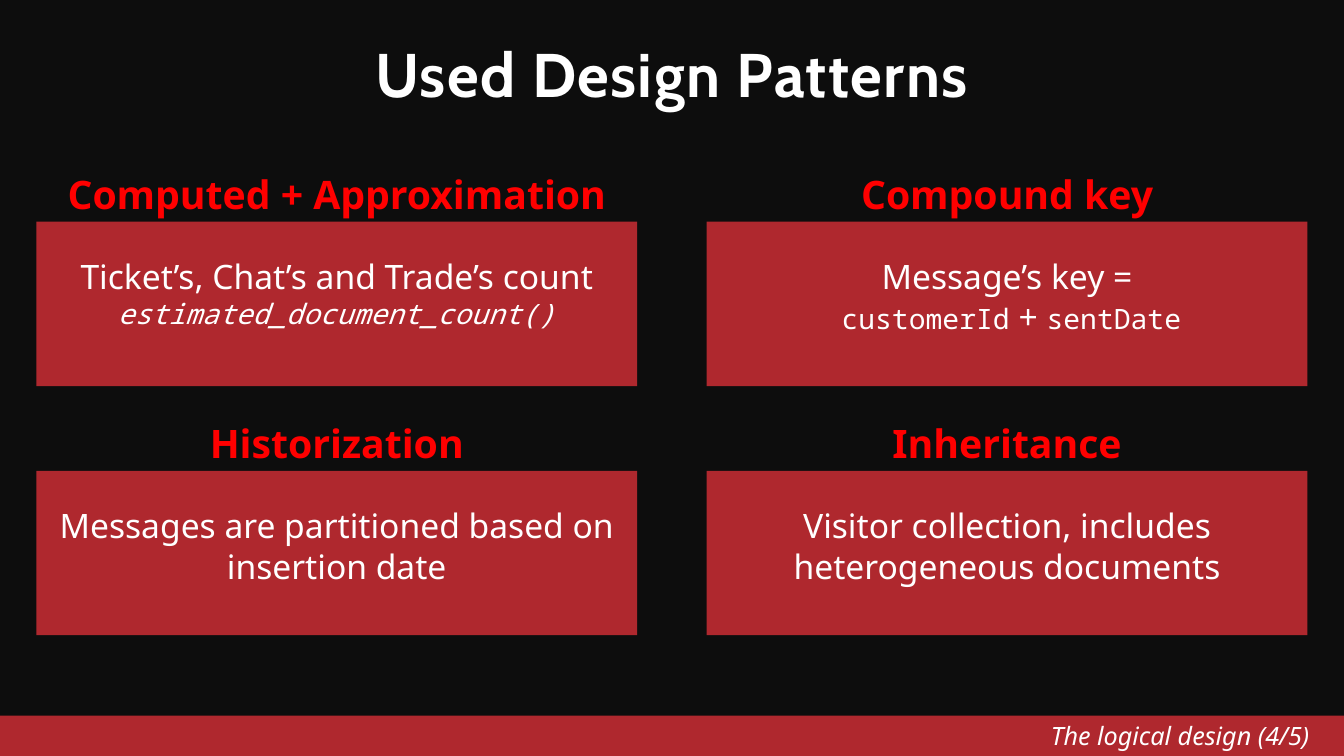
from pptx import Presentation
from pptx.dml.color import RGBColor
from pptx.enum.shapes import MSO_SHAPE
from pptx.enum.text import MSO_ANCHOR, PP_ALIGN
from pptx.util import Pt

RECTANGLE = MSO_SHAPE.RECTANGLE
TOP = MSO_ANCHOR.TOP
CENTER, RIGHT = PP_ALIGN.CENTER, PP_ALIGN.RIGHT

BLACK = RGBColor(0x0D, 0x0D, 0x0D)
CRIMSON = RGBColor(0xAF, 0x28, 0x2E)
RED = RGBColor(0xFF, 0x00, 0x00)
WHITE = RGBColor(0xFF, 0xFF, 0xFF)

TITLE_FONT, TEXT_FONT, CODE_FONT = "Cabin", "Noto Sans", "Noto Sans Mono"

SLIDE_WIDTH, SLIDE_HEIGHT = 960, 540
FOOTER_TOP, FOOTER_HEIGHT = 511.2, 28.8
GRID_LEFT, GRID_TOP = 25.9, 158.4
COLUMN_STEP, ROW_STEP = 478.8, 178
CARD_WIDTH, CARD_HEIGHT = 429.2, 117.4

# Each run is (text, is_code, is_italic)
PATTERNS = [
    ("Computed + Approximation",
     [[("Ticket’s, Chat’s and Trade’s count", False, False)],
      [("estimated_document_count()", True, True)]]),
    ("Compound key",
     [[("Message’s key =", False, False)],
      [(" ", False, False), ("customerId", True, False),
       (" + ", False, False), ("sentDate", True, False)]]),
    ("Historization",
     [[("Messages are partitioned based on insertion date", False, False)]]),
    ("Inheritance",
     [[("Visitor collection, includes heterogeneous documents", False, False)]]),
]


def style(run, size, color, name=TEXT_FONT, bold=False, italic=False):
    font = run.font
    font.name, font.size, font.bold, font.italic = name, Pt(size), bold, italic
    font.color.rgb = color


def add_panel(slide, left, top, width, height):
    panel = slide.shapes.add_shape(
        RECTANGLE, Pt(left), Pt(top), Pt(width), Pt(height))
    panel.shadow.inherit = False
    panel.fill.solid()
    panel.fill.fore_color.rgb = CRIMSON
    panel.line.fill.background()


def add_text_frame(slide, left, top, width, height, inset_x=8.64, inset_y=4.32):
    box = slide.shapes.add_textbox(Pt(left), Pt(top), Pt(width), Pt(height))
    frame = box.text_frame
    frame.word_wrap = True
    frame.margin_left = frame.margin_right = Pt(inset_x)
    frame.margin_top = frame.margin_bottom = Pt(inset_y)
    return frame


def add_line(frame, text, align, **look):
    """Fill the first paragraph of a frame with one formatted run."""
    paragraph = frame.paragraphs[0]
    paragraph.text = text
    paragraph.alignment = align
    style(paragraph.runs[0], **look)


def add_title(slide, text):
    title = slide.shapes.title
    title.left, title.top = Pt(0), Pt(32.4)
    title.width, title.height = Pt(SLIDE_WIDTH), Pt(62.6)
    frame = title.text_frame
    frame.vertical_anchor = TOP
    add_line(frame, text, CENTER, size=44, color=WHITE, name=TITLE_FONT, bold=True)
    frame.paragraphs[0].line_spacing = 0.8
    frame.paragraphs[0].runs[0].font._element.set("spc", "100")


def add_pattern(slide, left, top, heading, lines):
    add_panel(slide, left, top, CARD_WIDTH, CARD_HEIGHT)
    description = add_text_frame(slide, left, top + 20.2, CARD_WIDTH, 75)
    for index, line in enumerate(lines):
        paragraph = (description.add_paragraph() if index
                     else description.paragraphs[0])
        paragraph.alignment = CENTER
        for text, is_code, is_italic in line:
            run = paragraph.add_run()
            run.text = text
            style(run, 20 if is_code else 24, WHITE,
                  CODE_FONT if is_code else TEXT_FONT, italic=is_italic)
    heading_frame = add_text_frame(slide, left, top - 41, CARD_WIDTH, 47.5)
    add_line(heading_frame, heading, CENTER, size=28, color=RED, bold=True)


def add_footer(slide, text):
    add_panel(slide, 0, FOOTER_TOP, SLIDE_WIDTH, FOOTER_HEIGHT)
    frame = add_text_frame(slide, 213, FOOTER_TOP, 729.4, FOOTER_HEIGHT, 7.2, 3.6)
    add_line(frame, text, RIGHT, size=18, color=WHITE, italic=True)


def main():
    deck = Presentation()
    deck.slide_width, deck.slide_height = Pt(SLIDE_WIDTH), Pt(SLIDE_HEIGHT)
    slide = deck.slides.add_slide(deck.slide_layouts.get_by_name("Title Only"))
    slide.background.fill.solid()
    slide.background.fill.fore_color.rgb = BLACK

    add_title(slide, "Used Design Patterns")
    add_footer(slide, "The logical design (4/5)")
    for index, (heading, lines) in enumerate(PATTERNS):
        row, column = divmod(index, 2)
        add_pattern(slide, GRID_LEFT + column * COLUMN_STEP,
                    GRID_TOP + row * ROW_STEP, heading, lines)
    deck.save("out.pptx")


if __name__ == "__main__":
    main()
